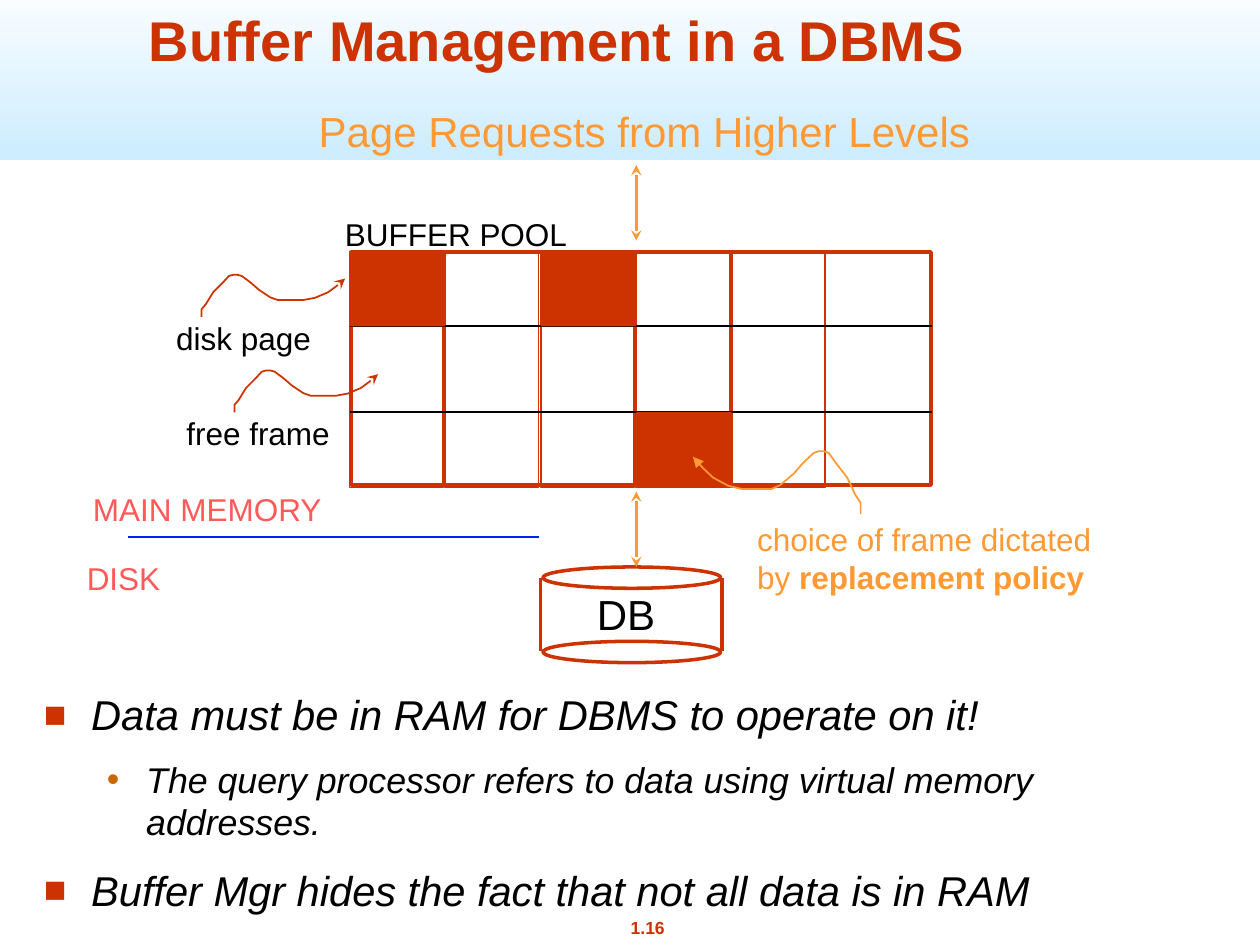
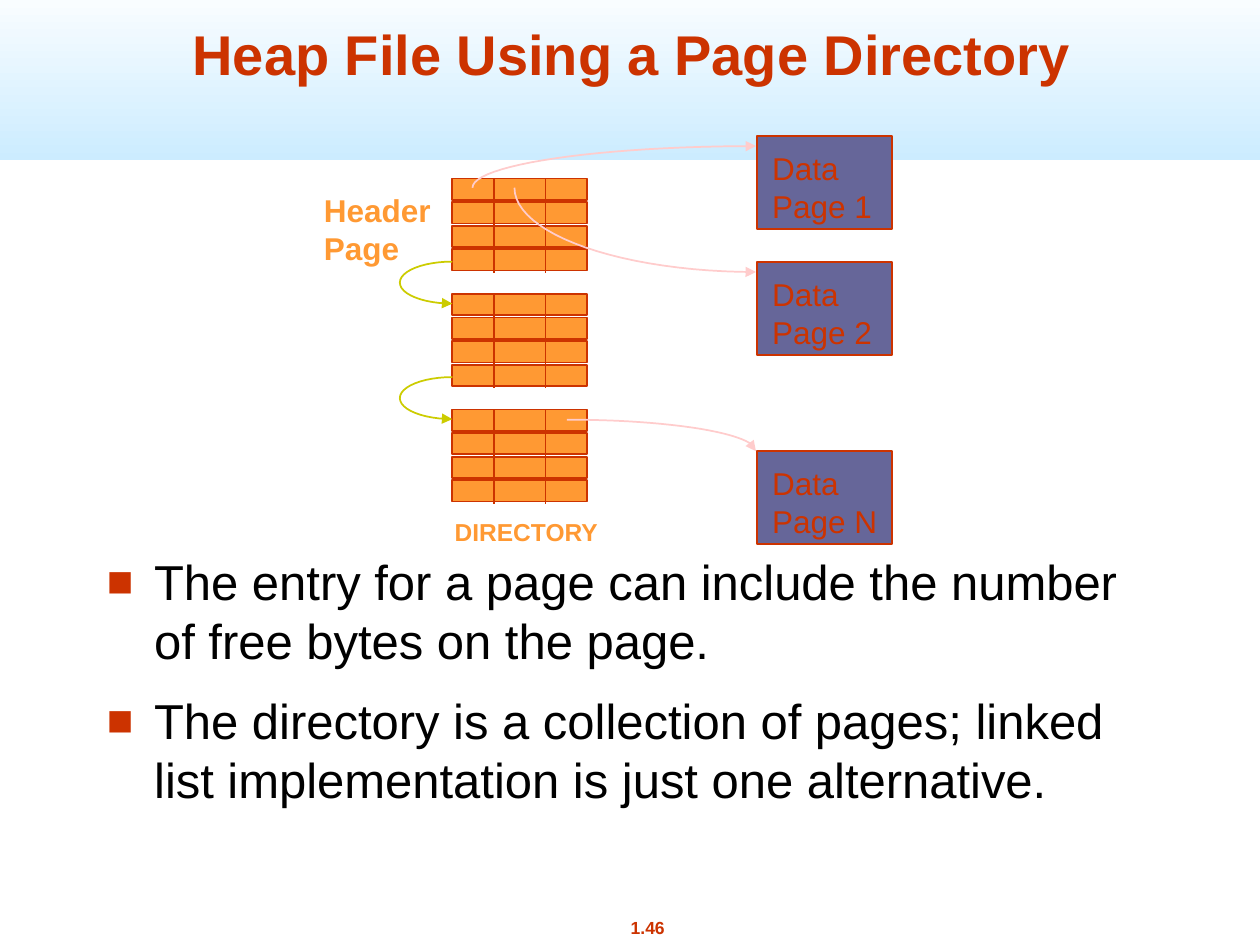
from math import cos, radians, sin

from lxml import etree
from pptx import Presentation
from pptx.dml.color import RGBColor
from pptx.enum.shapes import MSO_CONNECTOR, MSO_SHAPE
from pptx.enum.text import MSO_ANCHOR, MSO_AUTO_SIZE, PP_ALIGN
from pptx.oxml.ns import qn
from pptx.util import Pt

RECT, OVAL = MSO_SHAPE.RECTANGLE, MSO_SHAPE.OVAL
STRAIGHT = MSO_CONNECTOR.STRAIGHT
CENTER, LEFT = PP_ALIGN.CENTER, PP_ALIGN.LEFT
BOTTOM = MSO_ANCHOR.BOTTOM
GROW = MSO_AUTO_SIZE.SHAPE_TO_FIT_TEXT

FONT = "Arial"
BLACK = RGBColor(0x00, 0x00, 0x00)
WHITE = RGBColor(0xFF, 0xFF, 0xFF)
SKY = RGBColor(0xCC, 0xEC, 0xFF)
RED = RGBColor(0xCC, 0x33, 0x00)
BROWN = RGBColor(0xCC, 0x66, 0x00)
ORANGE = RGBColor(0xFF, 0x99, 0x33)
CORAL = RGBColor(0xFF, 0x59, 0x59)
BLUE = RGBColor(0x00, 0x21, 0xE8)
SLATE = RGBColor(0x66, 0x66, 0x99)
OLIVE = RGBColor(0xCC, 0xCC, 0x00)
PINK = RGBColor(0xFF, 0xCC, 0xCC)

# Content: bullets are (level, size, text)
BUFFER_BULLETS = [
    (0, 23.8, "Data must be in RAM for DBMS to operate on it!"),
    (1, 20.4, "The query processor refers to data using virtual memory addresses."),
    (0, 23.8, "Buffer Mgr hides the fact that not all data is in RAM"),
]
HEAP_BULLETS = [
    (0, 28, "The entry for a page can include the number of free bytes on the page."),
    (0, 28, "The directory is a collection of pages; linked list implementation "
            "is just one alternative."),
]
# Labels: box, lines, size, colour, bold
BUFFER_LABELS = [
    ((46, 276.5, 145.5, 29), ["MAIN MEMORY"], 18, CORAL, False),
    ((42.5, 316, 57, 29), ["DISK"], 18, CORAL, False),
    ((93.6, 178.6, 91.4, 29), ["disk page"], 18, BLACK, False),
    ((99.4, 233.3, 96.5, 29), ["free frame"], 18, BLACK, False),
    ((175, 57, 386.6, 36), ["Page Requests from Higher Levels"], 24, ORANGE, False),
    ((190, 119.5, 142, 29), ["BUFFER POOL"], 18, BLACK, False),
    ((334, 332.6, 50.4, 36), ["DB"], 24, BLACK, False),
]
POLICY_BOX = (425.5, 293.8, 206, 50.4)
HEAP_LABELS = [
    ((178, 105.8, 75.6, 50.4), ["Header", "Page"], 18, ORANGE, True),
    ((252.7, 291.6, 97.2, 24), ["DIRECTORY"], 14, ORANGE, True),
]
DATA_PAGES = [("Page 1", 77.8), ("Page 2", 149.8), ("Page N", 257.8)]

# Buffer pool grid: column and row edges, cells holding a disk page
POOL_X, POOL_COL = 199.8, 54.6
POOL_ROWS = [143.3, 186.5, 235.4, 278.6]
POOL_RIGHT = 532.8
USED_FRAMES = [(0, 0), (2, 0), (3, 2)]

# Pointer wave, as fractions of its box
WAVE = [(0, 1), (0, .82), (.03, .7), (.08, .42), (.15, .18), (.19, .03), (.22, 0),
        (.25, 0), (.28, .03), (.34, .18), (.4, .36), (.48, .54), (.53, .6),
        (.71, .6), (.79, .55), (.88, .42), (.94, .27), (1, .09)]
# Waves: x, y, width (negative runs leftwards), height, colour, arrowhead
WAVES = [
    (115.2, 157, 82, 24, RED, "stealth"),
    (134, 211.7, 82, 24, RED, "stealth"),
    (491.8, 257.8, -95.8, 36, ORANGE, "triangle"),
]

# Directory blocks and the arcs: centre, radii, start and end angle
DIR_X, DIR_Y, DIR_W, DIR_STEP = 258.5, 102, 77, 66
ROW_H, ROW_STEP = 12.2, 13.5
ENTRY_X = [282.2, 311.8]
PAGE_X, PAGE_W, PAGE_H = 432.7, 77, 53.3
PAGE_ARCS = [
    (432, 107.3, 162, 23.8, 180, 270),
    (432, 107.3, 138, 48.2, 180, 90),
    (324, 257.8, 108, 18, 270, 360),
]


def pts(values):
    return [Pt(v) for v in values]


def style(p, size, color, bold=False, italic=False):
    for r in p.runs:
        f = r.font
        f.name, f.size, f.bold, f.italic = FONT, Pt(size), bold, italic
        f.color.rgb = color


def write(tf, lines, size, color, bold=False, align=LEFT):
    for i, line in enumerate(lines):
        p = tf.add_paragraph() if i else tf.paragraphs[0]
        p.text, p.alignment = line, align
        style(p, size, color, bold)


def label(s, box, lines, size, color, bold=False, align=LEFT):
    tf = s.shapes.add_textbox(*pts(box)).text_frame
    tf.word_wrap, tf.auto_size = False, GROW
    write(tf, lines, size, color, bold, align)
    return tf


def shape(s, kind, box, fill=None, line=None, width=1):
    sp = s.shapes.add_shape(kind, *pts(box))
    sp.shadow.inherit = False
    if fill is None:
        sp.fill.background()
    else:
        sp.fill.solid()
        sp.fill.fore_color.rgb = fill
    if line is None:
        sp.line.fill.background()
    else:
        sp.line.color.rgb, sp.line.width = line, Pt(width)
    return sp


def arrowheads(sp, head=None, tail=None):
    ln = sp.element.spPr.find(qn("a:ln"))
    for tag, kind in (("a:headEnd", head), ("a:tailEnd", tail)):
        if kind:
            etree.SubElement(ln, qn(tag), type=kind)


def line(s, x1, y1, x2, y2, color, width=1, ends=None):
    c = s.shapes.add_connector(STRAIGHT, *pts((x1, y1, x2, y2)))
    c.line.color.rgb, c.line.width = color, Pt(width)
    arrowheads(c, ends, ends)
    etree.SubElement(c.element.spPr, qn("a:effectLst"))


def curve(s, points, color, tail):
    start, *rest = [tuple(pts(p)) for p in points]
    fb = s.shapes.build_freeform(*start)
    fb.add_line_segments(rest, close=False)
    sp = fb.convert_to_shape()
    sp.shadow.inherit = False
    sp.fill.background()
    sp.line.color.rgb, sp.line.width = color, Pt(1)
    arrowheads(sp, tail=tail)


def arc(s, cx, cy, rx, ry, start, end, color):
    steps = 24
    angles = [radians(start + (end - start) * i / steps) for i in range(steps + 1)]
    curve(s, [(cx + rx * cos(a), cy + ry * sin(a)) for a in angles], color, "triangle")


def bullets(s, box, items, italic=False):
    # Per level: left margin, hanging indent, space before, mark, colour, size %
    levels = [(27, 27, 12.2, "■", RED, 90), (58.5, 22.5, 10.5, "•", BROWN, 100)]
    tf = s.shapes.add_textbox(*pts(box)).text_frame
    tf.word_wrap = True
    for i, (level, size, text) in enumerate(items):
        margin, hang, before, mark, color, percent = levels[level]
        p = tf.add_paragraph() if i else tf.paragraphs[0]
        p.text, p.level, p.space_before = text, level, Pt(before)
        style(p, size, BLACK, italic=italic)
        pPr = p._p.get_or_add_pPr()
        pPr.set("marL", str(Pt(margin)))
        pPr.set("indent", str(-Pt(hang)))
        clr = etree.SubElement(pPr, qn("a:buClr"))
        etree.SubElement(clr, qn("a:srgbClr"), val=str(color))
        etree.SubElement(pPr, qn("a:buSzPct"), val=str(percent * 1000))
        etree.SubElement(pPr, qn("a:buFont"), typeface=FONT)
        etree.SubElement(pPr, qn("a:buChar"), char=mark)


def new_slide(prs, title, title_box, number):
    s = prs.slides.add_slide(prs.slide_layouts[6])
    # Header band
    band = shape(s, RECT, (0, -12.2, 720, 103.7))
    band.fill.gradient()
    band.fill.gradient_angle = 270
    for stop, color, position in zip(band.fill.gradient_stops, (WHITE, SKY), (0, 1)):
        stop.color.rgb, stop.position = color, position
    # Page number and title
    tf = label(s, (334.8, 520.6, 70.6, 19.4), [number], 10, RED, True, CENTER)
    tf.paragraphs[0].space_before = Pt(6.2)
    tf = s.shapes.add_textbox(*pts(title_box)).text_frame
    tf.word_wrap, tf.vertical_anchor = True, BOTTOM
    write(tf, [title], 32, RED, True, CENTER)
    return s


def buffer_slide(prs):
    s = new_slide(prs, "Buffer Management in a DBMS", (12.2, -15.1, 612, 60.5), "1.16")
    bullets(s, (18, 390.2, 684, 138.2), BUFFER_BULLETS, italic=True)

    # Buffer pool
    shape(s, RECT, (200.9, 144, 331.2, 133.2), line=RED, width=2)
    for col in range(5):
        shape(s, RECT, (POOL_X + col * POOL_COL, 144, 53.4, 134.6), line=RED)
    for y in POOL_ROWS[1:-1]:
        line(s, POOL_X, y, POOL_RIGHT, y, BLACK)
    for col, row in USED_FRAMES:
        top, bottom = POOL_ROWS[row:row + 2]
        shape(s, RECT, (POOL_X + col * POOL_COL, top, POOL_COL, bottom - top), RED)

    # Database drum
    for y in (324, 366.5):
        shape(s, OVAL, (310.3, y, 101.5, 12.2), line=RED, width=2)
    for x in (308.9, 412.6):
        line(s, x, 330.5, x, 372.2, RED, 2)

    # Memory boundary, request arrows and pointers
    line(s, 73.4, 306.7, 308.2, 306.7, BLUE)
    for y in (94.3, 280.8):
        line(s, 363.6, y, 363.6, y + 43.2, ORANGE, 2, "stealth")
    for x, y, w, h, color, tail in WAVES:
        curve(s, [(x + w * u, y + h * v) for u, v in WAVE], color, tail)

    # Labels
    for item in BUFFER_LABELS:
        label(s, *item)
    tf = label(s, POLICY_BOX, ["choice of frame dictated", "by "], 18, ORANGE)
    p = tf.paragraphs[1]
    p.add_run().text = "replacement policy"
    style(p, 18, ORANGE)
    p.runs[1].font.bold = True


def heap_slide(prs):
    s = new_slide(prs, "Heap File Using a Page Directory", (43.2, 5, 635.8, 48.2), "1.46")
    bullets(s, (54, 311.8, 612, 198), HEAP_BULLETS)

    # Directory blocks
    for block in range(3):
        top = DIR_Y + block * DIR_STEP
        for row in range(4):
            shape(s, RECT, (DIR_X, top + row * ROW_STEP, DIR_W, ROW_H), ORANGE, RED)
        for x in ENTRY_X:
            line(s, x, top, x, top + 4 * ROW_STEP, RED)

    # Data pages
    for name, y in DATA_PAGES:
        tf = shape(s, RECT, (PAGE_X, y, PAGE_W, PAGE_H), SLATE, RED).text_frame
        tf.margin_left, tf.margin_top = Pt(8.6), Pt(7.2)
        tf.margin_right = tf.margin_bottom = 0
        tf.word_wrap = True
        tf.vertical_anchor = MSO_ANCHOR.TOP
        write(tf, ["Data", name], 18, RED)

    # Labels, block links and page pointers
    for item in HEAP_LABELS:
        label(s, *item)
    for link in range(2):
        arc(s, DIR_X, 161.5 + link * DIR_STEP, 30, 12, 270, 90, OLIVE)
    for page_arc in PAGE_ARCS:
        arc(s, *page_arc, PINK)


def main():
    prs = Presentation()
    prs.slide_width, prs.slide_height = Pt(720), Pt(540)
    buffer_slide(prs)
    heap_slide(prs)
    prs.save("out.pptx")


if __name__ == "__main__":
    main()
